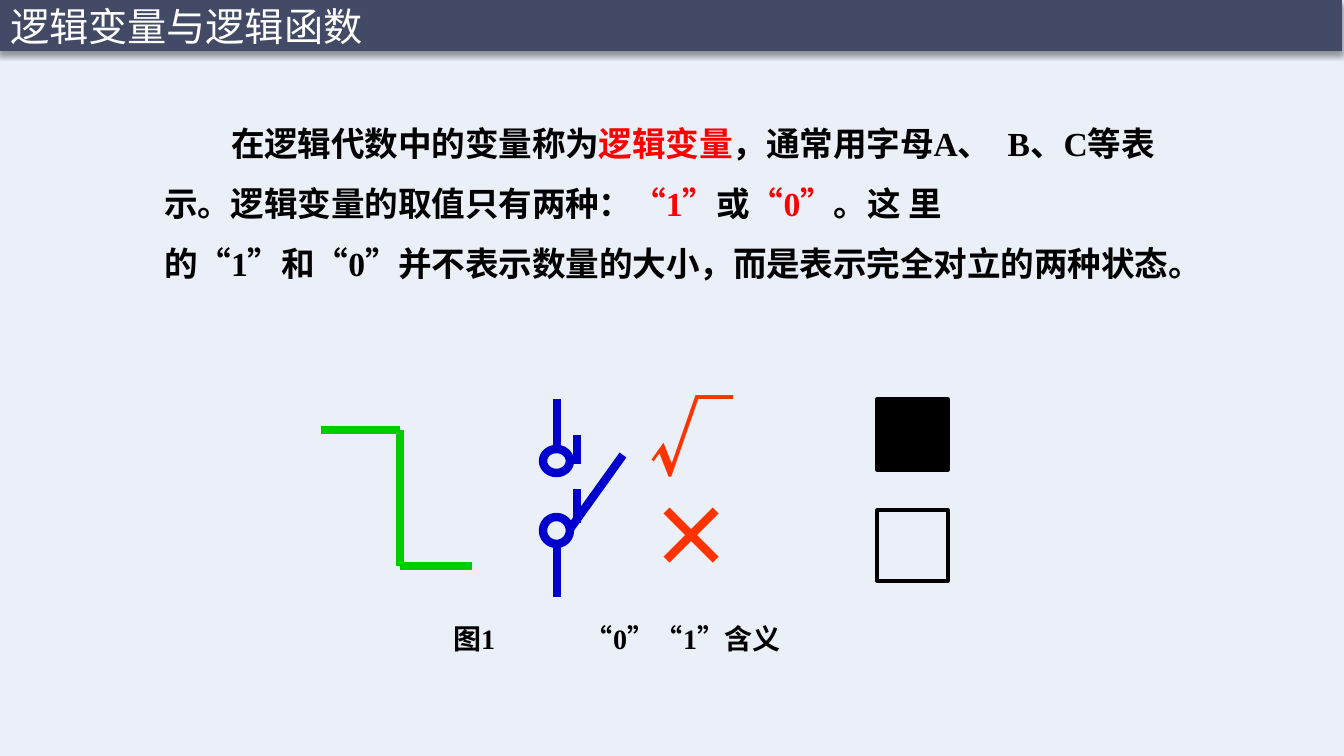
from lxml import etree
from pptx import Presentation
from pptx.dml.color import RGBColor
from pptx.enum.dml import MSO_LINE
from pptx.enum.shapes import MSO_CONNECTOR, MSO_SHAPE
from pptx.enum.text import MSO_ANCHOR, MSO_AUTO_SIZE, PP_ALIGN
from pptx.oxml.ns import qn
from pptx.util import Pt

PX = 914400 / 100.8
WHITE, BLACK = RGBColor(255, 255, 255), RGBColor(0, 0, 0)
RED, ORANGE = RGBColor(0xFF, 0, 0), RGBColor(0xFF, 0x33, 0)
BLUE, GREEN = RGBColor(0, 0, 0xCC), RGBColor(0, 0xCC, 0)
NAVY, TINT = RGBColor(0x42, 0x46, 0x5B), RGBColor(0x44, 0x72, 0xC4)
SANS, SERIF = "Noto Sans CJK SC", "Times New Roman"

# Content: (text, colour, letter spacing in 1/100 pt)
TITLE = "逻辑变量与逻辑函数"
BODY = [
    ("在逻辑代数中的变量称为", BLACK, -10), ("逻辑变量", RED, -10),
    ("，通常用字母A、", BLACK, -10), (" ", BLACK, 600),
    ("B、C等表示。逻辑变量的取值只有两种：", BLACK, -10),
    ("“1”", RED, -10), ("或", BLACK, -10), ("“0”", RED, -10),
    ("。这 里的“1”和“0”并不表示数量的大小，而是表示完全对立的两种状态。", BLACK, -10),
]
CAPTION = [("图1\t“0”“1”含义", BLACK, -10)]
MARKS = [("√", 402), ("×", 500)]  # symbol, top

# Drawing: lines as (x1, y1, x2, y2)
SWITCH_LINES = [(557, 399, 557, 449), (557, 597, 557, 544), (570, 529, 623, 455)]
SWITCH_LINK = (577, 523, 577, 435)
STEP_LINES = [(321, 430, 400, 430), (400, 430, 400, 566), (400, 566, 472, 566)]
CONTACTS = [(543, 449, 27, 24), (543, 517, 27, 27)]
LAMPS = [(399, BLACK), (510, None)]  # top, fill


def px(*values):
    return [round(v * PX) for v in values]


def add_shape(kind, box, fill=None, line=None, width=0):
    sp = slide.shapes.add_shape(kind, *px(*box))
    sp.shadow.inherit = False
    if fill is None:
        sp.fill.background()
    else:
        sp.fill.solid()
        sp.fill.fore_color.rgb = fill
    if line is None:
        sp.line.fill.background()
    else:
        sp.line.color.rgb = line
        sp.line.width = Pt(width)
    return sp


def add_line(ends, color):
    c = slide.shapes.add_connector(MSO_CONNECTOR.STRAIGHT, *px(*ends))
    c.line.color.rgb = color
    c.line.width = Pt(6)
    etree.SubElement(c._element.spPr, qn("a:effectLst"))
    return c


def add_run(p, text, size, color, latin, bold=True, spacing=0):
    r = p.add_run()
    r.text = text
    f = r.font
    f.size, f.bold, f.name = Pt(size), bold, latin
    f.color.rgb = color
    rPr = r._r.get_or_add_rPr()
    rPr.set("lang", "zh-CN")
    rPr.set("altLang", "en-US")
    rPr.set("spc", str(spacing))
    etree.SubElement(rPr, qn("a:ea")).set("typeface", SANS)


def add_text(box, runs, size, leading, latin=SERIF):
    tf = slide.shapes.add_textbox(*px(*box)).text_frame
    tf.word_wrap = True
    tf.margin_left = tf.margin_right = tf.margin_top = tf.margin_bottom = 0
    p = tf.paragraphs[0]
    p.line_spacing = Pt(leading)
    for text, color, spacing in runs:
        add_run(p, text, size, color, latin, spacing=spacing)
    return p


prs = Presentation()
prs.slide_width, prs.slide_height = px(1344, 756)
slide = prs.slides.add_slide(prs.slide_layouts[5])

# Header bar with its shadow, and the page tint
bar = add_shape(MSO_SHAPE.RECTANGLE, (-2, -1, 1344, 52), NAVY)
shadow = etree.SubElement(bar._element.spPr.find(qn("a:effectLst")), qn("a:outerShdw"),
                          blurRad=str(Pt(4)), dist=str(Pt(3)), dir="5400000",
                          algn="t", rotWithShape="0")
shade = etree.SubElement(shadow, qn("a:srgbClr"), val="000000")
etree.SubElement(shade, qn("a:alpha"), val="40000")
tint = add_shape(MSO_SHAPE.RECTANGLE, (-17, -1, 1378, 771), TINT)
clr = tint._element.spPr.find(qn("a:solidFill")).find(qn("a:srgbClr"))
etree.SubElement(clr, qn("a:alpha"), val="10000")
for i, sp in enumerate((bar, tint)):
    slide.shapes._spTree.insert(2 + i, sp._element)

# Title
title = slide.shapes.title
title.left, title.top, title.width, title.height = px(0, -18, 730, 93)
tf = title.text_frame
tf.auto_size = MSO_AUTO_SIZE.NONE
tf.vertical_anchor = MSO_ANCHOR.MIDDLE
p = tf.paragraphs[0]
p.alignment = PP_ALIGN.LEFT
p.line_spacing = 0.9
add_run(p, TITLE, 28, WHITE, SANS, bold=False)

# Switch and step signal
for ends in SWITCH_LINES:
    add_line(ends, BLUE)
add_line(SWITCH_LINK, BLUE).line.dash_style = MSO_LINE.DASH
for box in CONTACTS:
    add_shape(MSO_SHAPE.OVAL, box, line=BLUE, width=6)
for ends in STEP_LINES:
    add_line(ends, GREEN)

# Dark and light squares
for top, fill in LAMPS:
    add_shape(MSO_SHAPE.RECTANGLE, (877, top, 71, 71), fill, BLACK, 2.25)

# Tick and cross
for mark, top in MARKS:
    p = add_text((632, top, 120, 84), [(mark, ORANGE, 0)], 60, 60, SANS)
    p.alignment = PP_ALIGN.CENTER

# Caption with a tab stop
p = add_text((453, 627, 400, 28), CAPTION, 20, 20)
tabs = etree.SubElement(p._p.get_or_add_pPr(), qn("a:tabLst"))
etree.SubElement(tabs, qn("a:tab"), pos=str(px(132)[0]), algn="l")

# Paragraph text
p = add_text((164, 103, 1017, 241), BODY, 24, 43)
p._p.get_or_add_pPr().set("indent", str(px(67)[0]))

prs.save("out.pptx")
